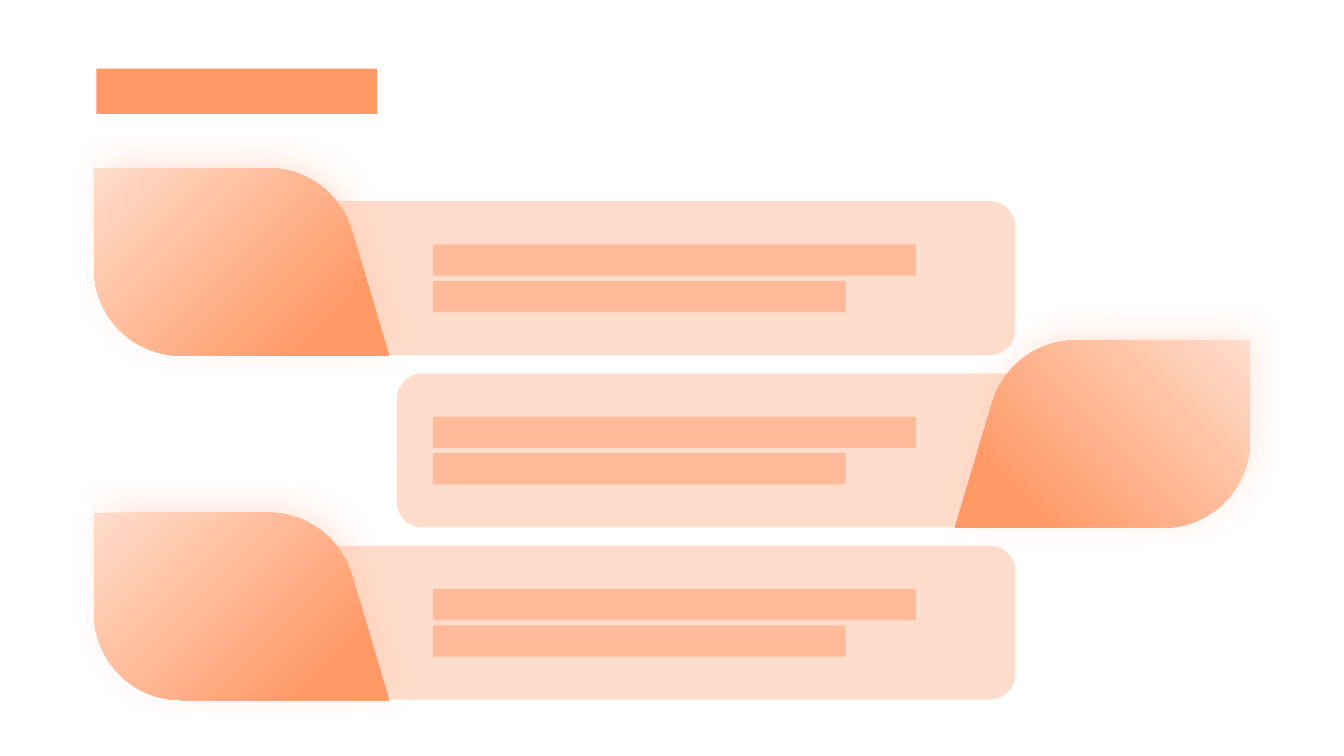
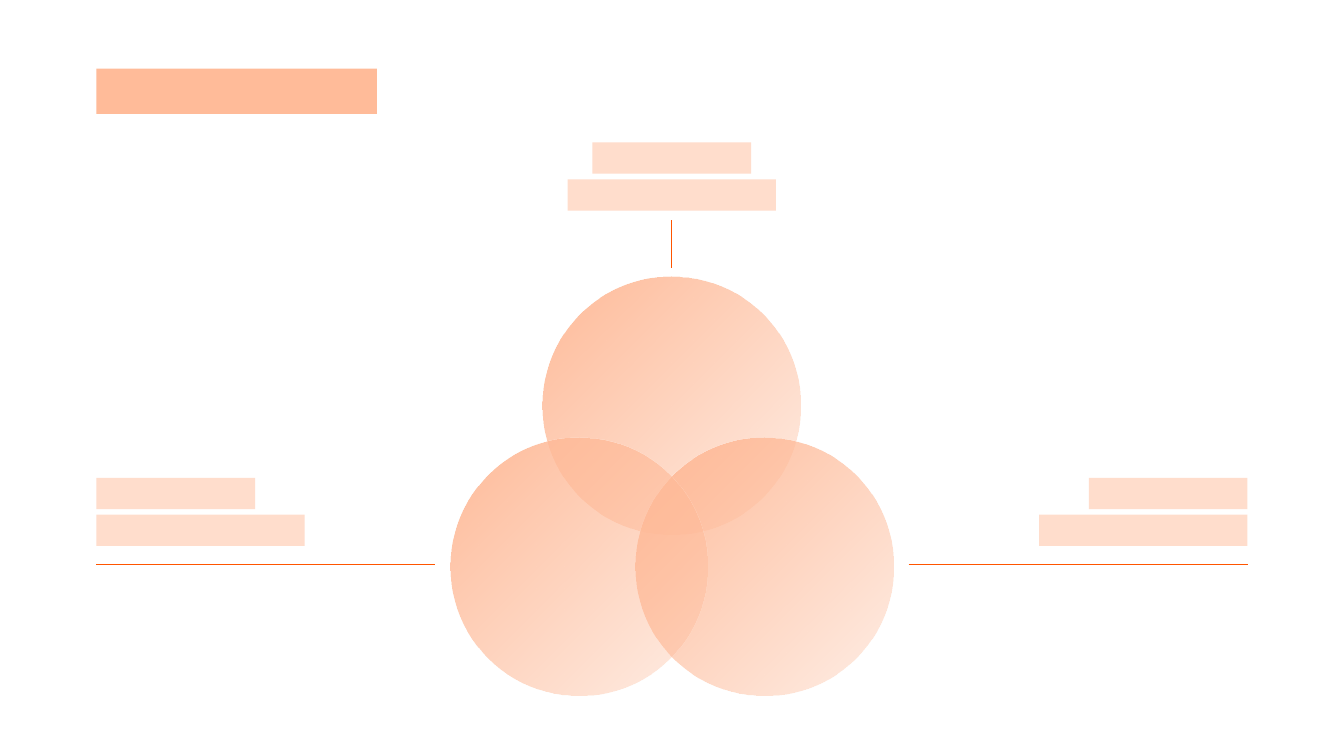
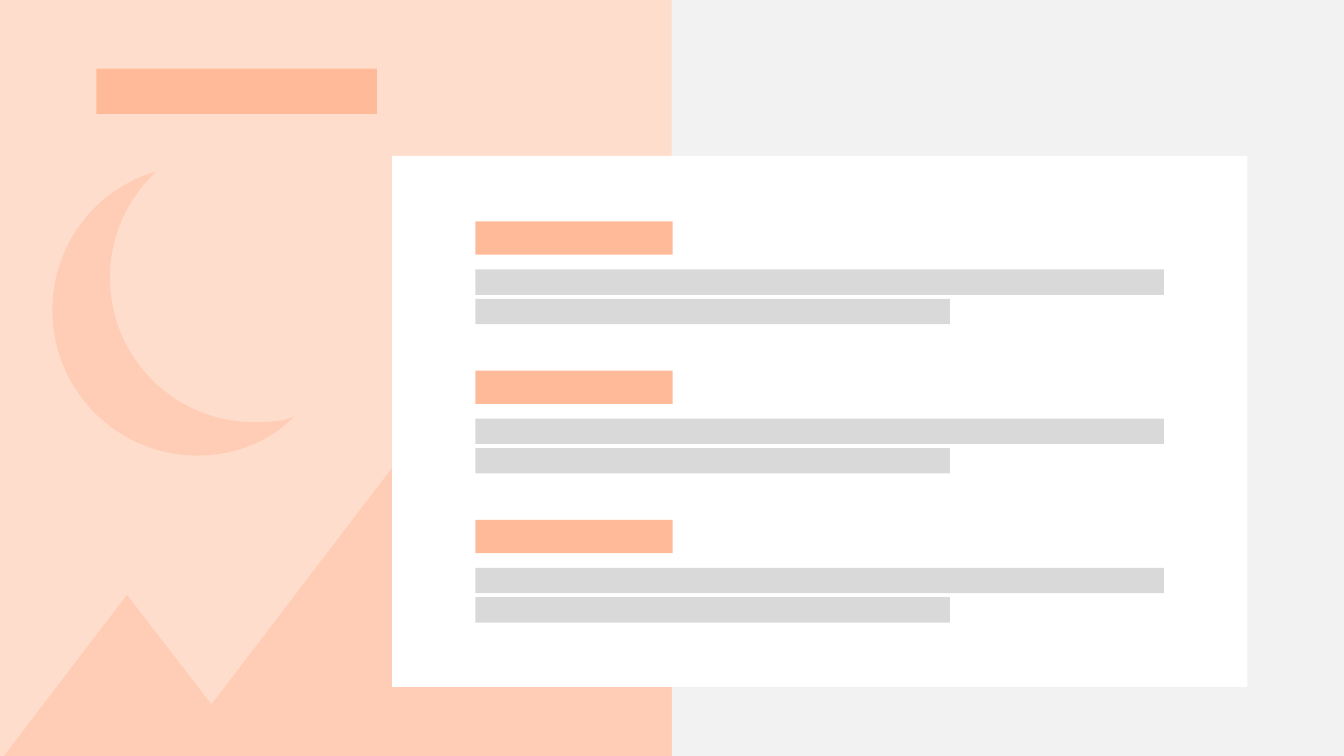
from dataclasses import dataclass

from lxml.etree import SubElement as Sub
from pptx import Presentation
from pptx.dml.color import RGBColor as Rgb
from pptx.enum.shapes import MSO_CONNECTOR as Link, MSO_SHAPE as Kind
from pptx.oxml.ns import qn
from pptx.shapes.autoshape import Shape
from pptx.slide import Slide
from pptx.util import Cm, Pt

# Shared colours
PALE = Rgb(0xFF, 0xDD, 0xCC)
PEACH = Rgb(0xFF, 0xBB, 0x99)
CORAL = Rgb(0xFF, 0x99, 0x66)
FLAME = Rgb(0xFF, 0x55, 0x00)
GREY = Rgb(0xD9, 0xD9, 0xD9)
MIST = Rgb(0xF2, 0xF2, 0xF2)
WHITE = Rgb(0xFF, 0xFF, 0xFF)

# Shared lengths in centimetres
WIDE, HIGH = 33.87, 19.05
MID = 16.93
LEFT, RIGHT = 2.43, 31.44
BAR = 0.79

Point = tuple[float, float]
Leg = tuple[Point, ...]  # one point: line; three points: curve


@dataclass(frozen=True)
class Row:
    """A panel with a leaf at one end."""
    left: float
    flip: bool


@dataclass(frozen=True)
class Label:
    """Two bars aligned on x: share 0 left, 0.5 centre, 1 right."""
    x: float
    top: float
    share: float


@dataclass(frozen=True)
class Rule:
    """A straight line."""
    x1: float
    y1: float
    x2: float
    y2: float


@dataclass(frozen=True)
class Strip:
    """A bar placed relative to the top of its block."""
    drop: float
    width: float
    height: float
    hue: Rgb


# Plain parts
def clean(shape: Shape) -> None:
    shape.line.fill.background()
    shape.shadow.inherit = False


def paint(shape: Shape, hue: Rgb) -> None:
    clean(shape)
    shape.fill.solid()
    shape.fill.fore_color.rgb = hue


def fade(shape: Shape, start: Rgb, end: Rgb, stop: float, angle: float) -> None:
    clean(shape)
    shape.fill.gradient()
    shape.fill.gradient_angle = angle
    first, last = shape.fill.gradient_stops
    first.color.rgb, last.color.rgb = start, end
    last.position = stop


def veil(shape: Shape, part: int) -> None:
    """Set the opacity, in percent, of the last colour in the fill."""
    hue = list(shape.element.spPr.iter(qn("a:srgbClr")))[-1]
    Sub(hue, qn("a:alpha"), val=str(part * 1000))


def glow(shape: Shape) -> None:
    """Add a soft peach shadow towards the top right."""
    effects = shape.element.spPr.find(qn("a:effectLst"))
    cast = Sub(effects, qn("a:outerShdw"), blurRad=str(Pt(27)),
               dist=str(Pt(13)), dir=str(315 * 60000), sx="95000",
               sy="95000", algn="bl", rotWithShape="0")
    hue = Sub(cast, qn("a:srgbClr"), val=str(PEACH))
    Sub(hue, qn("a:alpha"), val="43000")


def box(shapes, left: float, top: float, width: float, height: float,
        hue: Rgb, kind: Kind = Kind.RECTANGLE) -> Shape:
    shape = shapes.add_shape(kind, Cm(left), Cm(top), Cm(width), Cm(height))
    paint(shape, hue)
    return shape


def rule(shapes, line: Rule) -> None:
    link = shapes.add_connector(Link.STRAIGHT, Cm(line.x1), Cm(line.y1),
                                Cm(line.x2), Cm(line.y2))
    link.line.color.rgb = FLAME
    link.line.width = Pt(0.75)
    Sub(link.element.spPr, qn("a:effectLst"))


def draw(shapes, legs: list[Leg]) -> Shape:
    """Draw a closed outline of lines and cubic curves."""
    spots = [(Cm(x), Cm(y)) for leg in legs for x, y in leg]
    pen = shapes.build_freeform(*spots[0])
    pen.add_line_segments(spots[1:], close=True)
    shape = pen.convert_to_shape()
    # Join the three points of each curve into one segment
    lines = iter(list(shape.element.spPr.iter(qn("a:lnTo"))))
    for leg in legs[1:]:
        head, *rest = [next(lines) for _ in leg]
        if rest:
            head.tag = qn("a:cubicBezTo")
        for line in rest:
            head.append(line[0])
            line.getparent().remove(line)
    return shape


def title(slide: Slide, hue: Rgb) -> None:
    box(slide.shapes, LEFT, 1.73, 7.07, 1.14, hue)


# Slide 1: three panels with leaves
ROWS = [Row(5.77, False), Row(10, True), Row(5.77, False)]
ROW_STEP = 4.34
LEAF_TOP, LEAF_LEFT, LEAF_RIGHT = 4.24, 2.37, 31.5
LEAF: list[Leg] = [
    ((7.43, 4.72),), ((2.2, 4.72),),
    ((0.98, 4.72), (0, 3.74), (0, 2.52)),
    ((0, 0),), ((4.39, 0),),
    ((5.37, 0), (6.22, 0.65), (6.5, 1.59)),
]


def leaf(shapes, top: float, flip: bool) -> None:
    legs = [tuple((LEAF_RIGHT - x if flip else LEAF_LEFT + x, top + y)
                  for x, y in leg) for leg in LEAF]
    shape = draw(shapes, legs)
    fade(shape, PALE, CORAL, 0.82, 225 if flip else 315)
    glow(shape)


def panels(slide: Slide) -> None:
    shapes = slide.shapes
    for i, row in enumerate(ROWS):
        box(shapes, row.left, 5.07 + i * ROW_STEP, 19.82, 3.88, PALE,
            Kind.ROUNDED_RECTANGLE)
    for i, row in enumerate(ROWS):
        leaf(shapes, LEAF_TOP + i * ROW_STEP, row.flip)
    for i in range(len(ROWS)):
        group = shapes.add_group_shape().shapes
        for j, width in enumerate((12.17, 10.4)):
            box(group, 10.91, 6.16 + i * ROW_STEP + j * 0.92, width, BAR,
                PEACH)
    title(slide, CORAL)


# Slide 2: three circles that overlap
SIZE = 6.49
DISCS: list[Point] = [(MID, 10.22), (MID + 2.34, 14.28), (MID - 2.34, 14.28)]
RULES = [Rule(LEFT, 14.22, 10.97, 14.22), Rule(22.9, 14.22, RIGHT, 14.22),
         Rule(MID, 5.55, MID, 6.76)]
LABELS = [Label(LEFT, 12.04, 0), Label(RIGHT, 12.04, 1), Label(MID, 3.59, 0.5)]


def circles(slide: Slide) -> None:
    shapes = slide.shapes
    for x, y in DISCS:
        disc = box(shapes, x - SIZE / 2, y - SIZE / 2, SIZE, SIZE, PEACH,
                   Kind.OVAL)
        fade(disc, PEACH, PEACH, 1, 315)
        veil(disc, 25)
    for line in RULES:
        rule(shapes, line)
    for label in LABELS:
        for j, width in enumerate((4, 5.25)):
            box(shapes, label.x - label.share * width, label.top + j * 0.93,
                width, BAR, PALE)
    title(slide, PEACH)


# Slide 3: night scene and a card
PEAKS: list[Leg] = [
    ((11.96, 9.07),), ((MID, 15.6),), ((MID, HIGH),), ((6.32, HIGH),),
    ((4.34, HIGH),), ((0.1, HIGH),), ((3.2, 14.99),), ((5.33, 17.75),),
]
MOON: list[Leg] = [
    ((3.94, 4.32),), ((3.84, 4.42),),
    ((3.18, 5.08), (2.77, 5.99), (2.77, 6.99)),
    ((2.77, 9.02), (4.39, 10.64), (6.43, 10.64)),
    ((6.68, 10.64), (6.91, 10.62), (7.16, 10.59)),
    ((7.44, 10.49),), ((7.01, 10.85),),
    ((6.43, 11.25), (5.74, 11.48), (4.98, 11.48)),
    ((2.95, 11.48), (1.32, 9.83), (1.32, 7.82)),
    ((1.32, 6.3), (2.24, 5), (3.56, 4.45)),
]
STRIPS = [Strip(0, 4.97, 0.84, PEACH), Strip(1.21, 17.35, 0.64, GREY),
          Strip(1.95, 11.96, 0.64, GREY)]


def scene(slide: Slide) -> None:
    shapes = slide.shapes
    back = slide.background.fill
    back.solid()
    back.fore_color.rgb = MIST
    box(shapes, 0, 0, MID, HIGH, PALE)
    title(slide, PEACH)
    for legs in (PEAKS, MOON):
        shape = draw(shapes, legs)
        paint(shape, PEACH)
        veil(shape, 45)
    box(shapes, 9.88, 3.93, 21.56, 13.38, WHITE)
    for i in range(3):
        group = shapes.add_group_shape().shapes
        for strip in STRIPS:
            box(group, 11.98, 5.58 + i * 3.76 + strip.drop, strip.width,
                strip.height, strip.hue)


def main() -> None:
    deck = Presentation()
    deck.slide_width, deck.slide_height = Cm(WIDE), Cm(HIGH)
    blank = deck.slide_layouts[6]
    for build in (panels, circles, scene):
        build(deck.slides.add_slide(blank))
    deck.save("out.pptx")


if __name__ == "__main__":
    main()
